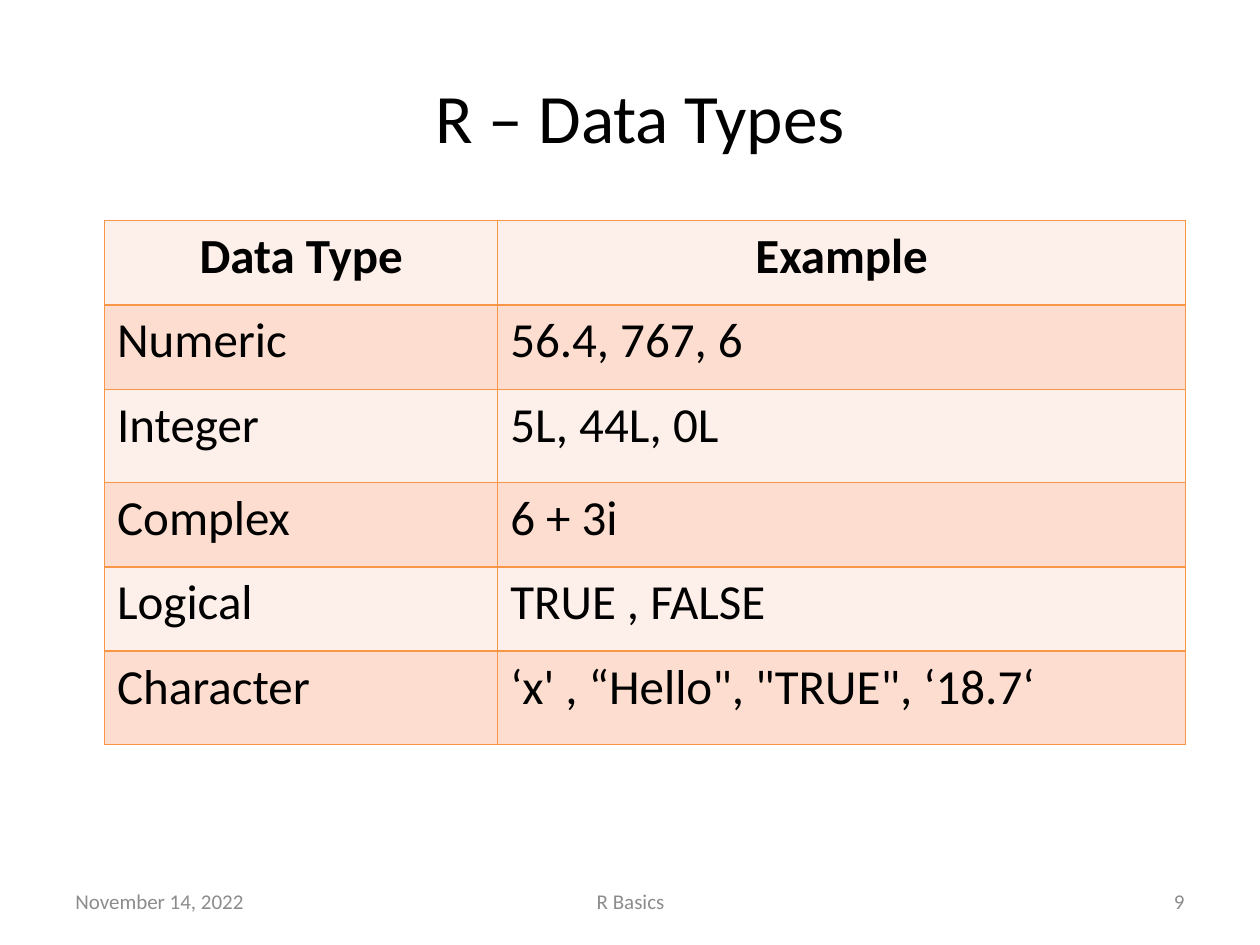
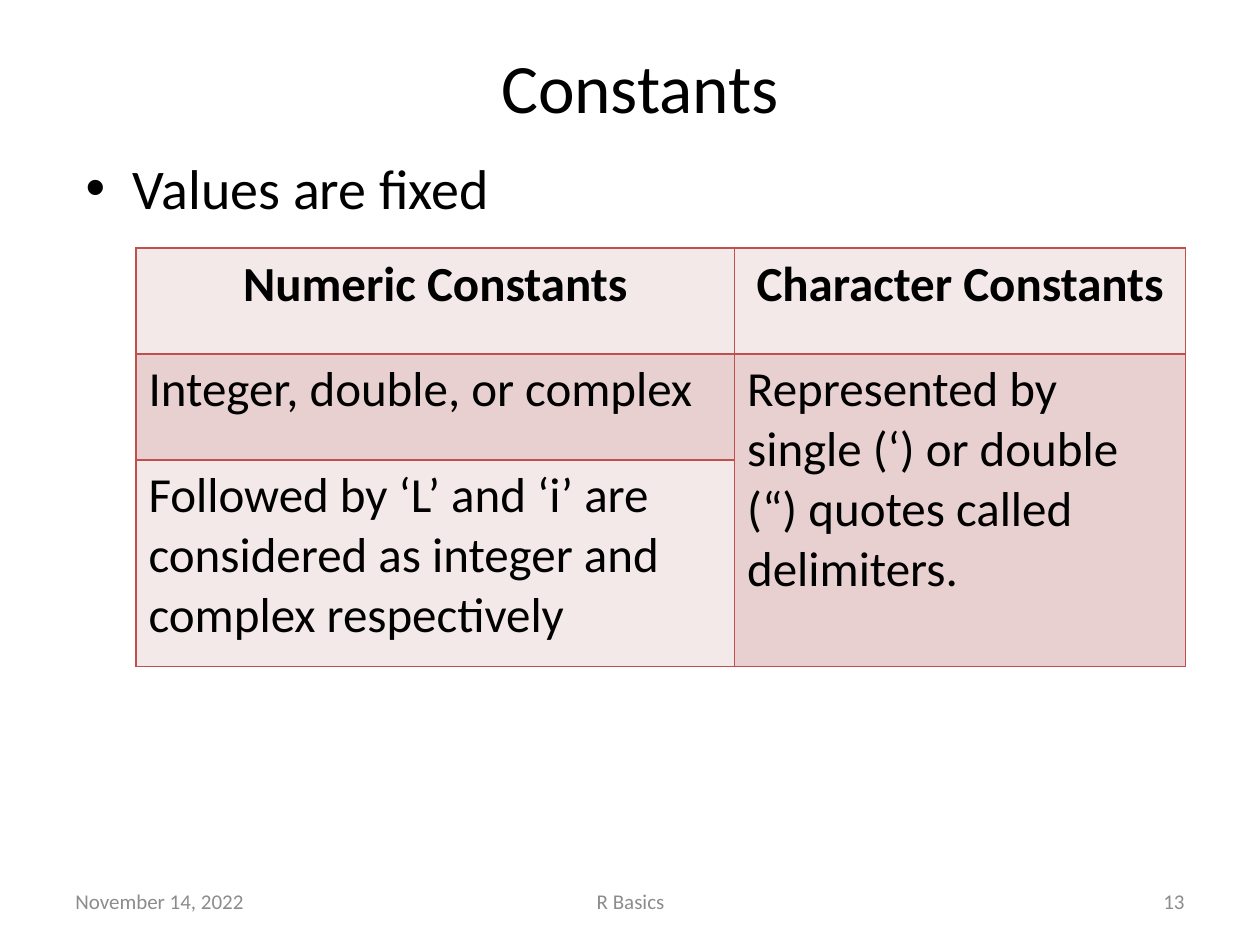
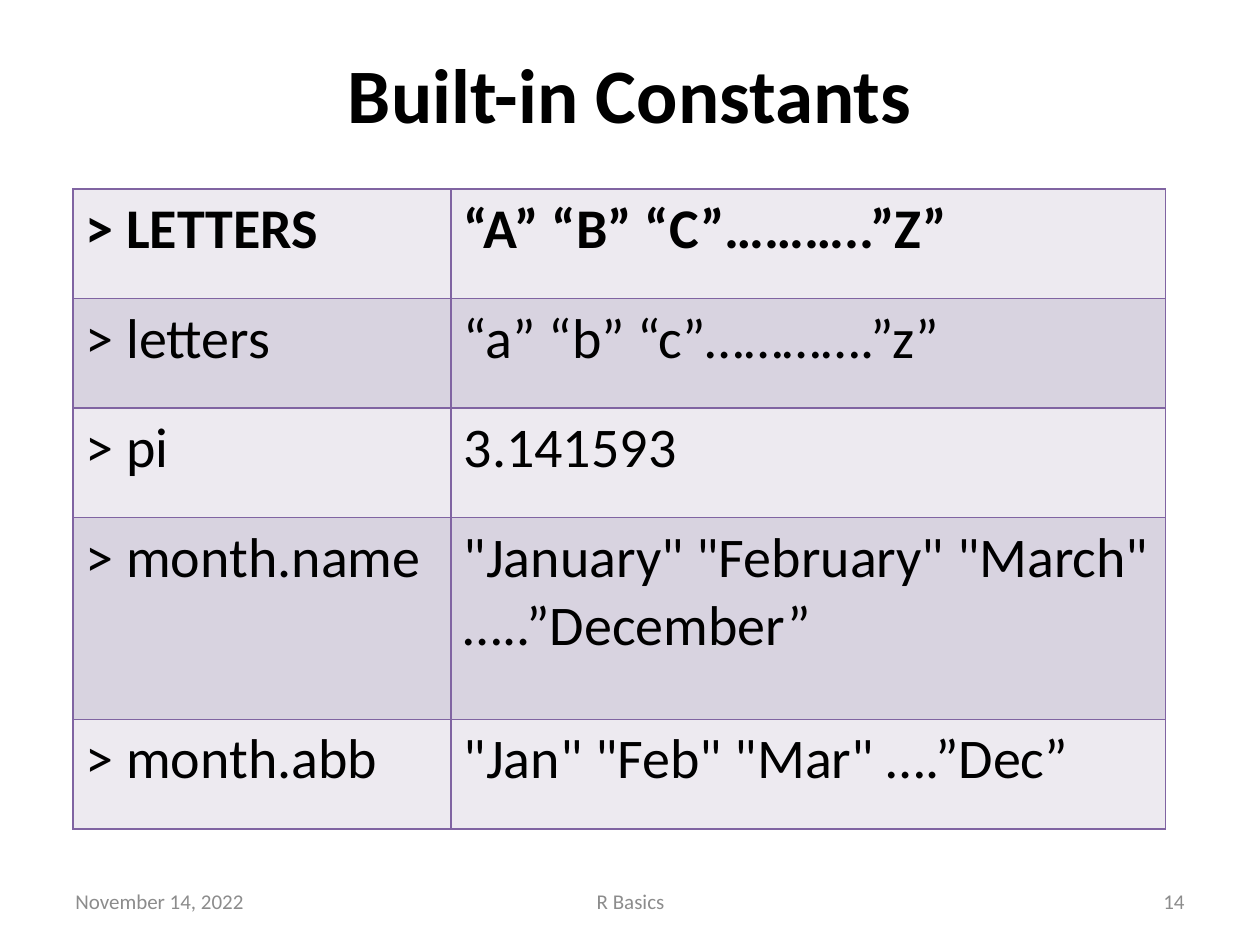
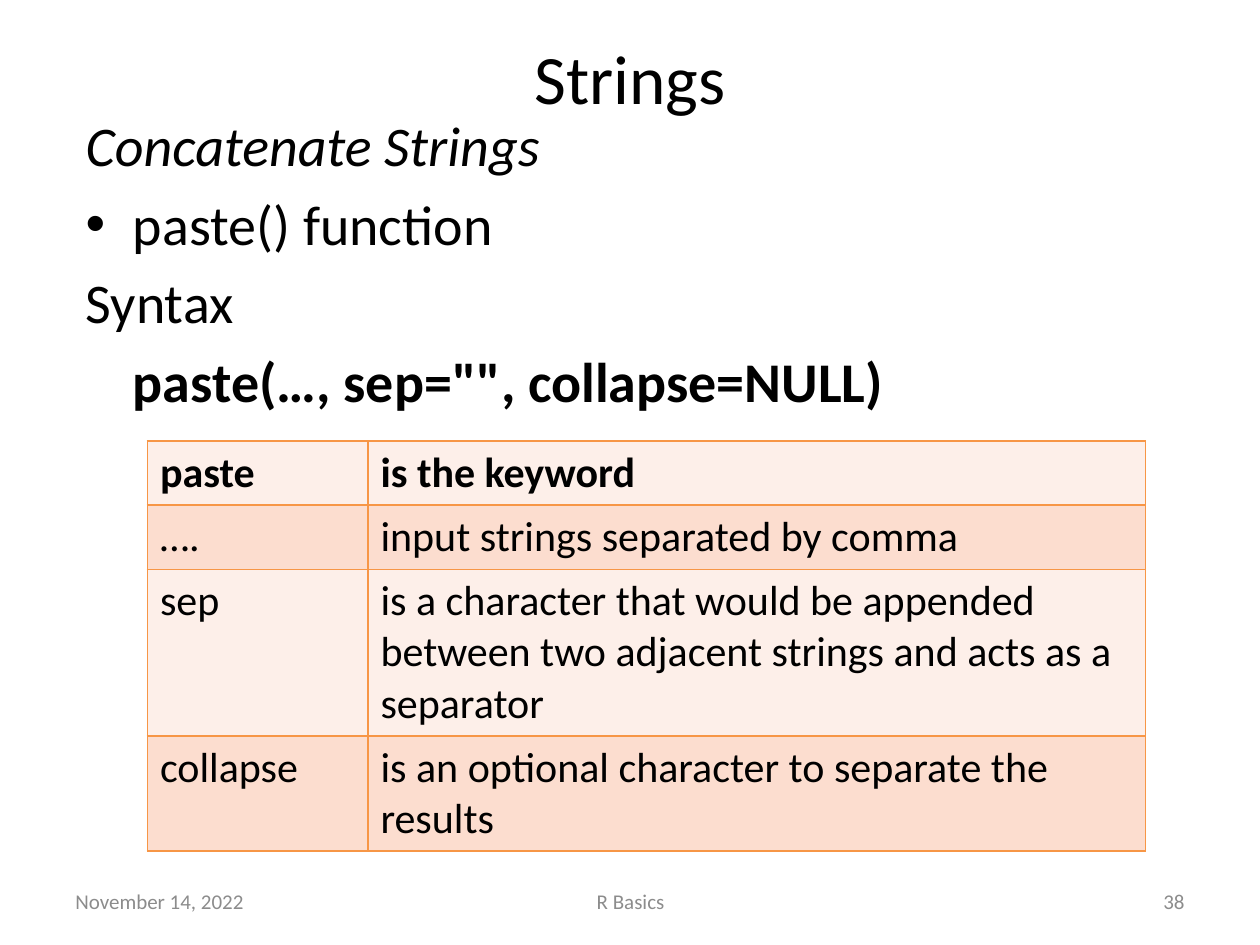
from dataclasses import dataclass
from typing import Optional

from lxml import etree
from pptx import Presentation
from pptx.dml.color import RGBColor
from pptx.enum import text
from pptx.oxml import ns
from pptx.util import Inches, Pt

FONT = "Calibri"
BLACK, FOOTER_GREY = "000000", "8C8C8C"
TITLE_ONLY, TITLE_AND_CONTENT = 5, 1
LEFT, CENTER, RIGHT = text.PP_ALIGN.LEFT, text.PP_ALIGN.CENTER, text.PP_ALIGN.RIGHT
FOOTER_TOP, FOOTER_HEIGHT = 6.95, 0.4

Box = tuple[float, float, float, float]


@dataclass(frozen=True)
class Theme:
    border: str
    light: str
    dark: str


ORANGE = Theme("F79646", "FDEFE9", "FCDDCF")
RED = Theme("C0504D", "F4E9E9", "E8D0D0")
PURPLE = Theme("8064A2", "EDEAF0", "D8D3E0")


@dataclass(frozen=True)
class TableSpec:
    """A cell of None continues the cell above it."""
    left: float
    top: float
    columns: list[float]
    rows: list[float]
    cells: list[list[Optional[str]]]
    theme: Theme
    size: float
    header_align: text.PP_ALIGN = LEFT


@dataclass(frozen=True)
class Line:
    words: str
    bullet: bool = False
    indented: bool = False
    bold: bool = False
    italic: bool = False


@dataclass(frozen=True)
class SlideSpec:
    number: int
    title: str
    title_box: Box
    table: TableSpec
    title_size: float = 39.6
    title_bold: bool = False
    body_box: Optional[Box] = None
    lines: tuple[Line, ...] = ()


SLIDES = [
    SlideSpec(9, "R – Data Types", (0.58, 0.58, 9, 0.67), TableSpec(
        0.83, 1.75, [3.12, 5.46], [0.67, 0.67, 0.74, 0.67, 0.67, 0.74],
        [["Data Type", "Example"],
         ["Numeric", "56.4, 767, 6"],
         ["Integer", "5L, 44L, 0L"],
         ["Complex", "6 + 3i"],
         ["Logical", "TRUE , FALSE"],
         ["Character", "‘x' , “Hello\", \"TRUE\", ‘18.7‘"]],
        ORANGE, 28, CENTER)),
    SlideSpec(13, "Constants", (0.58, 0.33, 9, 0.7), TableSpec(
        1.08, 1.97, [4.75, 3.58], [0.84, 0.84, 1.64],
        [["Numeric Constants", "Character Constants"],
         ["Integer, double, or complex",
          "Represented by single (‘) or double (“) quotes called delimiters."],
         ["Followed by ‘L’ and ‘i’ are considered as integer and complex respectively", None]],
        RED, 28, CENTER),
        body_box=(0.58, 1.17, 9, 5.67),
        lines=(Line("Values are fixed", bullet=True),)),
    SlideSpec(14, "Built-in Constants", (0.5, 0.3, 9, 0.87), TableSpec(
        0.58, 1.5, [3, 5.67], [0.87, 0.87, 0.87, 1.6, 0.87],
        [["> LETTERS", "“A” “B” “C”………..”Z”"],
         ["> letters", "“a” “b” “c”………….”z”"],
         ["> pi", "3.141593"],
         ["> month.name", "\"January\" \"February\" \"March\" …..”December”"],
         ["> month.abb", "\"Jan\" \"Feb\" \"Mar\" ….”Dec”"]],
        PURPLE, 32),
        title_size=44, title_bold=True),
    SlideSpec(38, "Strings", (0.5, 0.3, 9, 0.62), TableSpec(
        1.17, 3.5, [1.75, 6.17], [0.51, 0.51, 1.32, 0.91],
        [["paste", "is the keyword"],
         ["….", "input strings separated by comma"],
         ["sep", "is a character that would be appended between two adjacent strings "
                 "and acts as a separator"],
         ["collapse", "is an optional character to separate the results"]],
        ORANGE, 24),
        body_box=(0.58, 0.83, 9, 5.58),
        lines=(Line("Concatenate Strings", italic=True),
               Line("paste() function", bullet=True),
               Line("Syntax"),
               Line("paste(…, sep=\"\", collapse=NULL)", indented=True, bold=True))),
]


def color(value: str) -> RGBColor:
    return RGBColor.from_string(value)


def format_paragraph(paragraph, size: float, align=LEFT, fill: str = BLACK,
                     bold: bool = False, italic: bool = False) -> None:
    paragraph.alignment = align
    for run in paragraph.runs:
        font = run.font
        font.name, font.size, font.bold, font.italic = FONT, Pt(size), bold, italic
        font.color.rgb = color(fill)


def place(shape, box: Box) -> None:
    shape.left, shape.top, shape.width, shape.height = map(Inches, box)


def add_title(slide, spec: SlideSpec) -> None:
    title = slide.shapes.title
    place(title, spec.title_box)
    title.text_frame.text = spec.title
    title.text_frame.auto_size = text.MSO_AUTO_SIZE.NONE
    title.text_frame.vertical_anchor = text.MSO_ANCHOR.MIDDLE
    format_paragraph(title.text_frame.paragraphs[0], spec.title_size, CENTER,
                     bold=spec.title_bold)


def add_body(slide, spec: SlideSpec) -> None:
    body = slide.placeholders[1]
    place(body, spec.body_box)
    frame = body.text_frame
    frame.text = "\n".join(line.words for line in spec.lines)
    frame.auto_size = text.MSO_AUTO_SIZE.NONE
    for paragraph, line in zip(frame.paragraphs, spec.lines):
        format_paragraph(paragraph, 32, bold=line.bold, italic=line.italic)
        if not line.bullet:
            properties = paragraph._p.get_or_add_pPr()
            etree.SubElement(properties, ns.qn("a:buNone"))
            if line.indented:
                properties.set("indent", "0")


def set_borders(cell, border: str) -> None:
    properties = cell._tc.get_or_add_tcPr()
    for side in ("lnL", "lnR", "lnT", "lnB"):
        line = etree.SubElement(properties, ns.qn(f"a:{side}"), w=str(Pt(1)))
        solid = etree.SubElement(line, ns.qn("a:solidFill"))
        etree.SubElement(solid, ns.qn("a:srgbClr"), val=border)


def add_table(slide, spec: TableSpec) -> None:
    table = slide.shapes.add_table(
        len(spec.rows), len(spec.columns), Inches(spec.left), Inches(spec.top),
        Inches(sum(spec.columns)), Inches(sum(spec.rows))).table
    table.first_row = table.horz_banding = False
    for column, width in zip(table.columns, spec.columns):
        column.width = Inches(width)
    for row_index, (row, height) in enumerate(zip(table.rows, spec.rows)):
        row.height = Inches(height)
        is_header = row_index == 0
        for column_index, words in enumerate(spec.cells[row_index]):
            cell = table.cell(row_index, column_index)
            set_borders(cell, spec.theme.border)
            cell.fill.solid()
            cell.fill.fore_color.rgb = color(
                spec.theme.dark if row_index % 2 else spec.theme.light)
            if words is None:
                table.cell(row_index - 1, column_index).merge(cell)
                continue
            cell.text_frame.text = words
            format_paragraph(cell.text_frame.paragraphs[0], spec.size,
                             spec.header_align if is_header else LEFT, bold=is_header)


def add_footer(slide, number: int) -> None:
    for words, left, width, align in (("November 14, 2022", 0.5, 2.33, LEFT),
                                      ("R Basics", 3.42, 3.17, CENTER),
                                      (str(number), 7.17, 2.33, RIGHT)):
        footer = slide.shapes.add_textbox(Inches(left), Inches(FOOTER_TOP),
                                          Inches(width), Inches(FOOTER_HEIGHT))
        frame = footer.text_frame
        frame.word_wrap = True
        frame.vertical_anchor = text.MSO_ANCHOR.MIDDLE
        frame.text = words
        format_paragraph(frame.paragraphs[0], 12, align, FOOTER_GREY)


def main() -> None:
    presentation = Presentation()
    presentation.slide_width, presentation.slide_height = Inches(10), Inches(7.5)
    for spec in SLIDES:
        layout = TITLE_AND_CONTENT if spec.lines else TITLE_ONLY
        slide = presentation.slides.add_slide(presentation.slide_layouts[layout])
        add_title(slide, spec)
        if spec.lines:
            add_body(slide, spec)
        add_table(slide, spec.table)
        add_footer(slide, spec.number)
    presentation.save("out.pptx")


if __name__ == "__main__":
    main()
